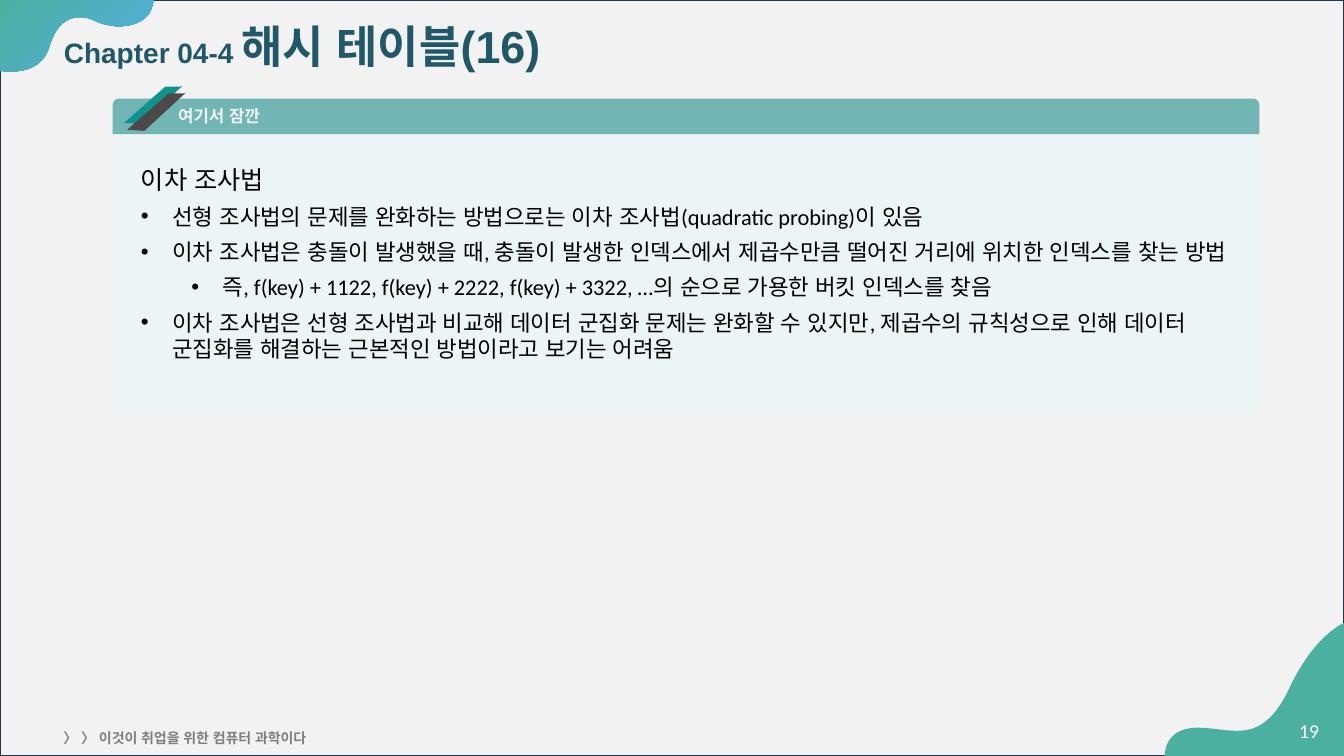
from pptx import Presentation
from pptx.util import Pt
from pptx.dml.color import RGBColor
from pptx.enum.lang import MSO_LANGUAGE_ID
from pptx.enum.shapes import MSO_SHAPE
from pptx.enum.text import MSO_ANCHOR
from pptx.oxml.ns import qn
from lxml.etree import SubElement

# Content
TITLE = [("Chapter 04-4 ", "label"), ("해시 테이블(16)", "title")]
NUMBER = "19"
FOOTER = "〉 〉 이것이 취업을 위한 컴퓨터 과학이다"
TAB = "여기서 잠깐"
HEAD = "이차 조사법"
POINTS = [  # level, text
    (0, "선형 조사법의 문제를 완화하는 방법으로는 이차 조사법(quadratic probing)이 있음"),
    (0, "이차 조사법은 충돌이 발생했을 때, 충돌이 발생한 인덱스에서 "
        "제곱수만큼 떨어진 거리에 위치한 인덱스를 찾는 방법"),
    (1, "즉, f(key) + 1122, f(key) + 2222, f(key) + 3322, …의 순으로 "
        "가용한 버킷 인덱스를 찾음"),
    (0, "이차 조사법은 선형 조사법과 비교해 데이터 군집화 문제는 완화할 수 있지만, "
        "제곱수의 규칙성으로 인해 데이터 군집화를 해결하는 근본적인 방법이라고 보기는 어려움"),
]

THEME = {
    "color": {"page": "F2F2F2", "edge": "21364F", "green": "4BB0A0", "blue": "52AEE1",
              "title": "205867", "white": "FFFFFF", "gray": "7F7F7F", "panel": "ECF4F5",
              "bar": "71B5B5", "teal": "0F9391", "dark": "4C4948", "ink": "000000"},
    "size": {"label": 20, "title": 32, "number": 14, "foot": 10,
             "tab": 12, "head": 18, "point": 16},
    "head": "Arial", "body": "Calibri", "asian": "Arial",
}

# Outlines in points: two numbers draw a line, six draw a curve
WAVE = [(109.5, -1.2), (-0.6, -1.2), (-0.6, 50.4), (-0.6, 50.4, 2.9, 51.1, 7.9, 51.1),
        (17.3, 51.1, 31, 48.2, 35.3, 33.1), (40.3, 16.6, 49, 12.2, 56.9, 12.2),
        (60.5, 12.2, 64.1, 13, 67, 14.4), (72.7, 17.3, 79.2, 18.7, 85, 18.7),
        (98.6, 18.7, 109.5, 12.2, 109.5, -1.2)]
HILL = [(960, 445), (960, 445, 938.9, 452.9, 920.2, 493.2),
        (908.6, 517, 896.4, 522, 883.4, 522), (874.8, 522, 865.4, 519.8, 855.4, 519.8),
        (830.9, 519.8, 832, 540, 832, 540), (960, 540)]
SLASH = [(130.3, 61.4), (100.8, 88.6), (88.6, 87.8), (118.1, 61.9), (128.9, 61.9)]
SHIFT = (2.3, 4.9)

WIDE, HIGH = 960, 540
LEFT, SPAN = 80.5, 819
BAR_TOP, BAR_H, PANEL_H = 70.4, 25.4, 200
STEP, HANG = 36, 22.5
FINE = 100  # outline units in a point

deck = Presentation()
deck.slide_width, deck.slide_height = Pt(WIDE), Pt(HIGH)
slide = deck.slides.add_slide(deck.slide_layouts[6])
shapes = slide.shapes


def tint(name):
    return RGBColor.from_string(THEME["color"][name])


def paint(shape, fill, line=None):
    shape.shadow.inherit = False
    shape.fill.solid()
    shape.fill.fore_color.rgb = tint(fill)
    if line:
        shape.line.color.rgb = tint(line)
        shape.line.width = Pt(1)
    else:
        shape.line.fill.background()
    return shape


def block(kind, box, fill, line=None, turns=()):
    shape = shapes.add_shape(kind, *map(Pt, box))
    for i, turn in enumerate(turns):
        shape.adjustments[i] = turn
    return paint(shape, fill, line)


def outline(path, fill):
    grid = [[round(n * FINE) for n in seg] for seg in path]
    ends = [seg[-2:] for seg in grid]
    pen = shapes.build_freeform(*ends[0], scale=Pt(1) / FINE)
    pen.add_line_segments(ends[1:], close=True)
    shape = pen.convert_to_shape()
    # Bend the straight parts that have control points
    left, top = (min(axis) for axis in zip(*ends))
    for part, seg in zip(list(shape._element.iter(qn("a:lnTo"))), grid[1:]):
        if len(seg) == 6:
            home = part.getparent()
            curve = SubElement(home, qn("a:cubicBezTo"))
            for x, y in zip(seg[::2], seg[1::2]):
                dot = SubElement(curve, qn("a:pt"))
                dot.set("x", str(x - left))
                dot.set("y", str(y - top))
            home.replace(part, curve)
    return paint(shape, fill)


def frame(box, wrap=True):
    text = shapes.add_textbox(*map(Pt, box)).text_frame
    text.word_wrap = wrap
    return text


def write(para, text, size, color, font="body", bold=False):
    run = para.add_run()
    run.text = text
    run.font.language_id = MSO_LANGUAGE_ID.KOREAN
    run.font.size = Pt(THEME["size"][size])
    run.font.bold = bold
    run.font.color.rgb = tint(color)
    run.font.name = THEME[font]
    SubElement(run.font._element, qn("a:ea")).set("typeface", THEME["asian"])


def bullet(para, level):
    props = para._p.get_or_add_pPr()
    props.set("marL", str(Pt(HANG + STEP * level)))
    props.set("indent", str(Pt(-HANG)))
    color = SubElement(props, qn("a:buClr"))
    SubElement(color, qn("a:srgbClr")).set("val", THEME["color"]["ink"])
    SubElement(props, qn("a:buFont")).set("typeface", "Arial")
    SubElement(props, qn("a:buChar")).set("char", "•")
    para.level = level
    para.space_before = Pt(6)


# Page and corner waves
block(MSO_SHAPE.RECTANGLE, (0, 0, WIDE, HIGH), "page", "edge")
wave = outline(WAVE, "green")
wave.fill.gradient()
wave.fill.gradient_angle = 315
for stop, name, spot in zip(wave.fill.gradient_stops, ("green", "blue"), (0, 1)):
    stop.color.rgb = tint(name)
    stop.position = spot
outline(HILL, "green")

# Title, page number and footer
text = frame((38.5, 8.6, 888.5, 52.6))
text.vertical_anchor = MSO_ANCHOR.MIDDLE
para = text.paragraphs[0]
para.line_spacing = 0.9
for part, size in TITLE:
    write(para, part, size, "title", "head", True)
write(frame((920.9, 509.8, 31.7, 28.8)).paragraphs[0], NUMBER, "number", "white")
write(frame((38.2, 517.7, 324, 17.3)).paragraphs[0], FOOTER, "foot", "gray", bold=True)

# Panel with its header bar
ROUND = MSO_SHAPE.ROUND_2_SAME_RECTANGLE
block(ROUND, (LEFT, BAR_TOP + BAR_H, SPAN, PANEL_H), "panel", turns=(0, 0.05))
block(ROUND, (LEFT, BAR_TOP, SPAN, BAR_H), "bar", turns=(0.17, 0))
write(frame((120.2, 72, 79.2, 21.6), False).paragraphs[0], TAB, "tab", "page", bold=True)
outline(SLASH, "teal")
outline([(x + SHIFT[0], y + SHIFT[1]) for x, y in SLASH], "dark")

# Body text
text = frame((93.6, 113.8, 798.5, 169.9))
write(text.paragraphs[0], HEAD, "head", "ink")
for level, line in POINTS:
    para = text.add_paragraph()
    bullet(para, level)
    write(para, line, "point", "ink")

deck.save("out.pptx")
